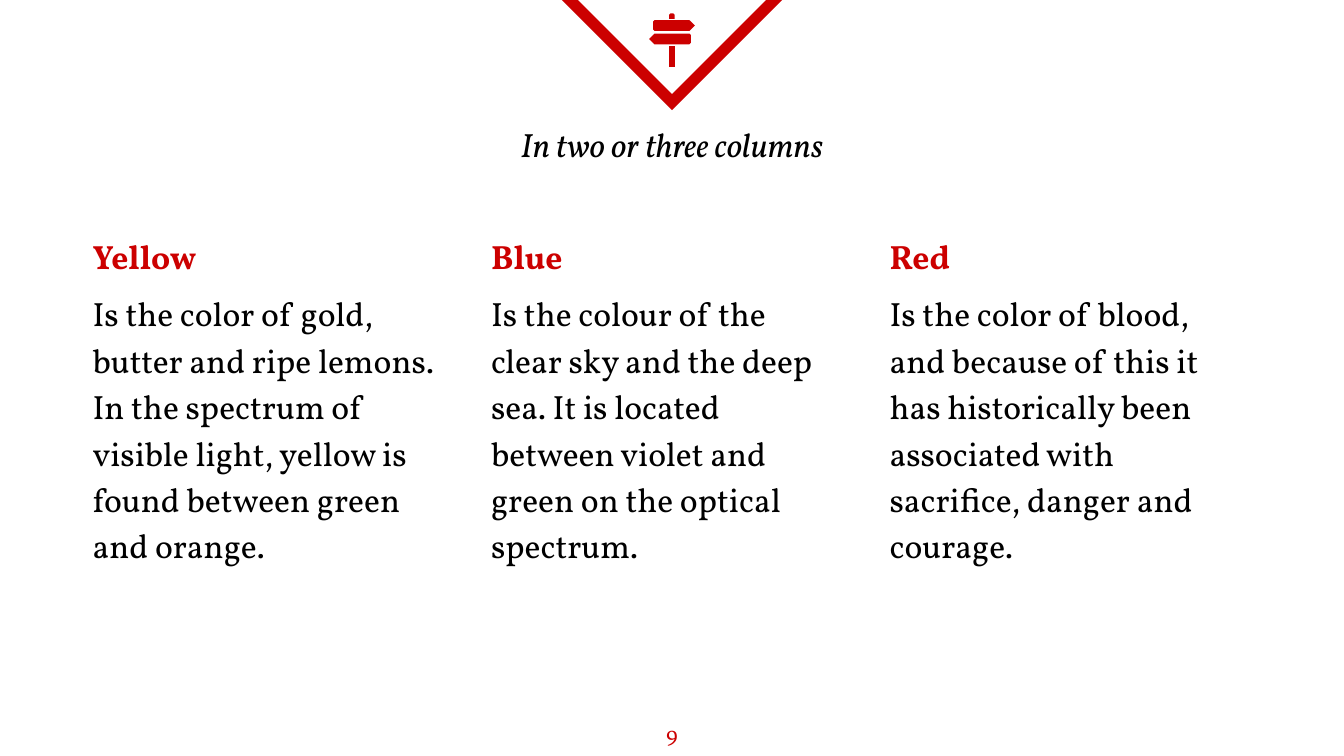
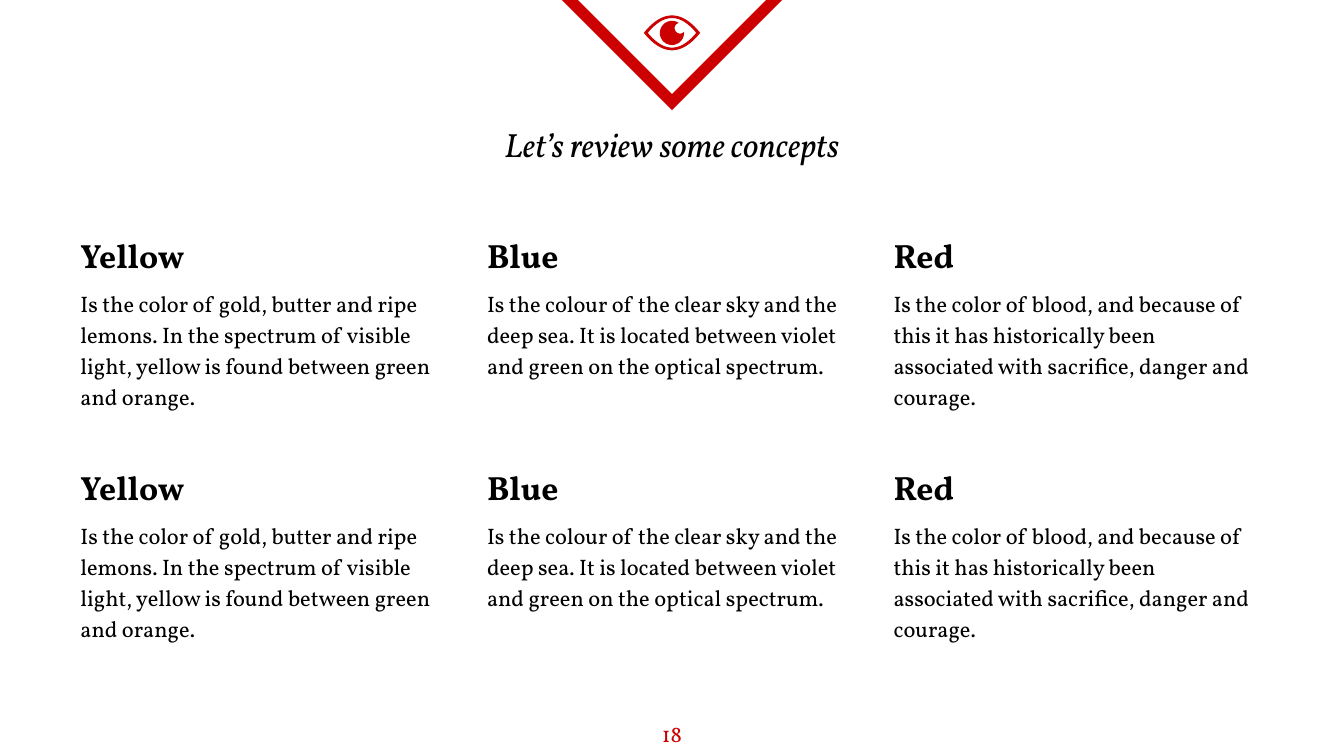
from math import cos, radians, sin

from lxml.etree import SubElement
from pptx import Presentation
from pptx.dml.color import RGBColor
from pptx.enum.shapes import MSO_SHAPE as Preset
from pptx.enum.text import MSO_ANCHOR as Anchor, PP_ALIGN as Align
from pptx.oxml.ns import qn
from pptx.util import Inches, Pt

COLORS = {"accent": "CC0000", "text": "000000", "background": "FFFFFF"}
FONT = "Vollkorn"
MIDDLE = 5.0
EYE_LEVEL = 0.245

TITLE = {"size": Pt(18), "italic": True}
NUMBER = {"size": Pt(12)}
HEADING = {"size": Pt(18), "bold": True}
LARGE_BODY = {"size": Pt(18), "bold": False}
SMALL_BODY = {"size": Pt(12), "bold": False}
CENTERED = {"alignment": Align.CENTER}
SPACED = {"line_spacing": 1.15}
SPACED_BELOW = {"line_spacing": 1.15, "space_before": Pt(6)}

CONCEPTS = [
    ("Yellow", "Is the color of gold, butter and ripe lemons. In the spectrum of "
               "visible light, yellow is found between green and orange."),
    ("Blue", "Is the colour of the clear sky and the deep sea. It is located "
             "between violet and green on the optical spectrum."),
    ("Red", "Is the color of blood, and because of this it has historically been "
            "associated with sacrifice, danger and courage."),
]

BOARD = [(-0.14, 0.16), (-0.13, 0.15), (0.13, 0.15), (0.17, 0.19),
         (0.13, 0.23), (-0.13, 0.23), (-0.14, 0.22)]
POST_TOP = [(-0.02, 0.14), (-0.02, 0.11), (-0.01, 0.1),
            (0.01, 0.1), (0.02, 0.11), (0.02, 0.14)]
POST = [(-0.02, 0.34), (0.02, 0.34), (0.02, 0.5), (-0.02, 0.5)]


def rgb(name):
    """Return a named colour of the palette."""
    return RGBColor.from_string(COLORS[name])


def apply(target, values):
    """Set attributes from a dict of format values."""
    for name, value in values.items():
        setattr(target, name, value)


def add_text(page, bounds, paragraphs):
    """Add a text box; each paragraph is text, colour, font and layout values."""
    box = page.shapes.add_textbox(*map(Inches, bounds))
    frame = box.text_frame
    margins = dict.fromkeys(
        ("margin_left", "margin_top", "margin_right", "margin_bottom"), Inches(0.1))
    apply(frame, {"word_wrap": True, "vertical_anchor": Anchor.TOP, **margins})
    for index, (text, color, font, layout) in enumerate(paragraphs):
        para = frame.add_paragraph() if index else frame.paragraphs[0]
        apply(para, layout)
        span = para.add_run()
        span.text = text
        apply(span.font, {"name": FONT, **font})
        span.font.color.rgb = rgb(color)


def add_outline(page, *contours):
    """Fill closed contours, given as offsets from the middle of the page."""
    placed = [[(Inches(MIDDLE + x), Inches(y)) for x, y in contour]
              for contour in contours]
    builder = page.shapes.build_freeform(*placed[0][0], scale=1.0)
    for index, points in enumerate(placed):
        if index:
            builder.move_to(*points[0])
        builder.add_line_segments(points[1:], close=True)
    shape = builder.convert_to_shape()
    shape.shadow.inherit = False
    shape.fill.solid()
    shape.fill.fore_color.rgb = rgb("accent")
    shape.line.fill.background()


def arc(center, radius, start, end, steps=30):
    """Return points along an arc, with angles in degrees."""
    angles = [radians(start + (end - start) * step / steps)
              for step in range(steps + 1)]
    return [(center[0] + radius * cos(angle), center[1] + radius * sin(angle))
            for angle in angles]


def lens(half_width, half_height, steps=10):
    """Return the contour between two mirrored parabolas."""
    ratios = [step / steps for step in range(-steps, steps + 1)]
    upper = [(half_width * ratio, half_height * (ratio ** 2 - 1)) for ratio in ratios]
    lower = [(-x, -y) for x, y in upper[1:-1]]
    return [(x, EYE_LEVEL + y) for x, y in upper + lower]


def draw_signpost(page):
    """Draw a post with two boards pointing opposite ways."""
    add_outline(page, BOARD)
    add_outline(page, [(-x, y + 0.1) for x, y in BOARD])
    add_outline(page, POST_TOP)
    add_outline(page, POST)


def draw_eye(page):
    """Draw an eye whose iris has a round highlight cut out."""
    add_outline(page, lens(0.18, 0.11), lens(0.21, 0.13))
    iris = arc((0, EYE_LEVEL), 0.09, -3, 304)
    highlight = arc((0.06, 0.21), 0.04, 256, 45)
    add_outline(page, iris + highlight)


def add_triangle(page):
    """Add the red triangle that hangs from the top edge, with sharp corners."""
    triangle = page.shapes.add_shape(
        Preset.ISOSCELES_TRIANGLE, *map(Inches, (4.18, -0.06, 1.64, 0.82)))
    triangle.rotation = 180
    triangle.shadow.inherit = False
    triangle.fill.background()
    triangle.line.color.rgb = rgb("accent")
    triangle.line.width = Pt(6)
    outline = triangle.element.spPr.find(qn("a:ln"))
    SubElement(outline, qn("a:miter"), lim="800000")


def add_page(deck, title, number, draw_icon):
    """Add a page with the red triangle, icon, title and page number."""
    page = deck.slides.add_slide(deck.slide_layouts[6])
    page.background.fill.solid()
    page.background.fill.fore_color.rgb = rgb("background")
    add_triangle(page)
    add_text(page, (1.13, 0.82, 7.74, 0.59), [(title, "text", TITLE, CENTERED)])
    draw_icon(page)
    add_text(page, (0, 5.26, 10, 0.36), [(str(number), "accent", NUMBER, CENTERED)])
    return page


def add_columns(page, first, last, top, size, color, body):
    """Spread the concepts evenly between the first and last left edges."""
    pitch = (last - first) / (len(CONCEPTS) - 1)
    for index, (heading, text) in enumerate(CONCEPTS):
        add_text(page, (first + index * pitch, top, *size), [
            (heading, color, HEADING, SPACED),
            (text, "text", body, SPACED_BELOW),
        ])


def main():
    """Build and save the deck."""
    deck = Presentation()
    width = Inches(10)
    apply(deck, {"slide_width": width, "slide_height": width * 9 // 16})
    page = add_page(deck, "In two or three columns", 9, draw_signpost)
    add_columns(page, 0.59, 6.52, 1.61, (2.81, 3.78), "accent", LARGE_BODY)
    page = add_page(deck, "Let’s review some concepts", 18, draw_eye)
    for top in (1.6, 3.33):
        add_columns(page, 0.5, 6.55, top, (2.88, 1.43), "text", SMALL_BODY)
    deck.save("out.pptx")


if __name__ == "__main__":
    main()
